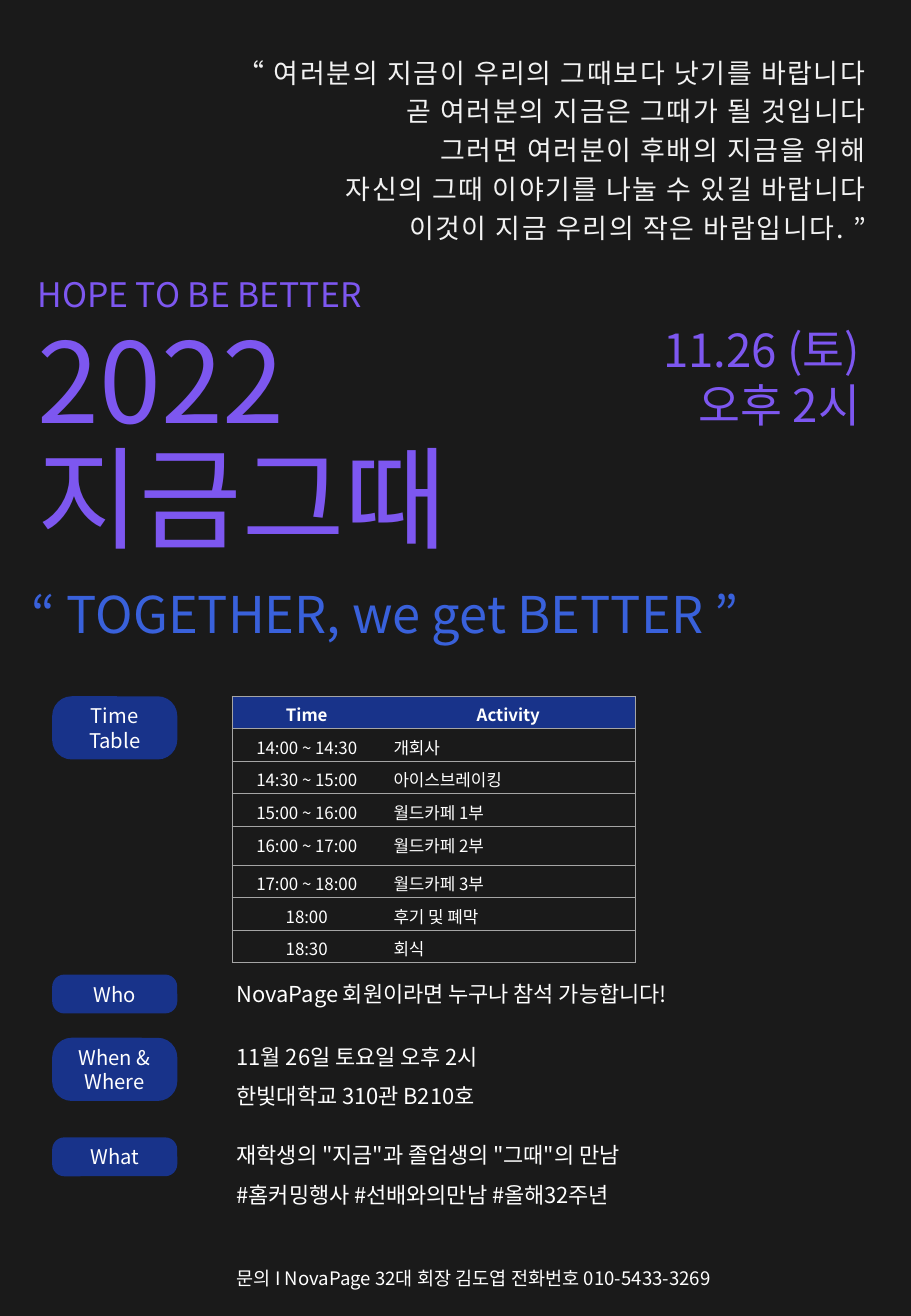
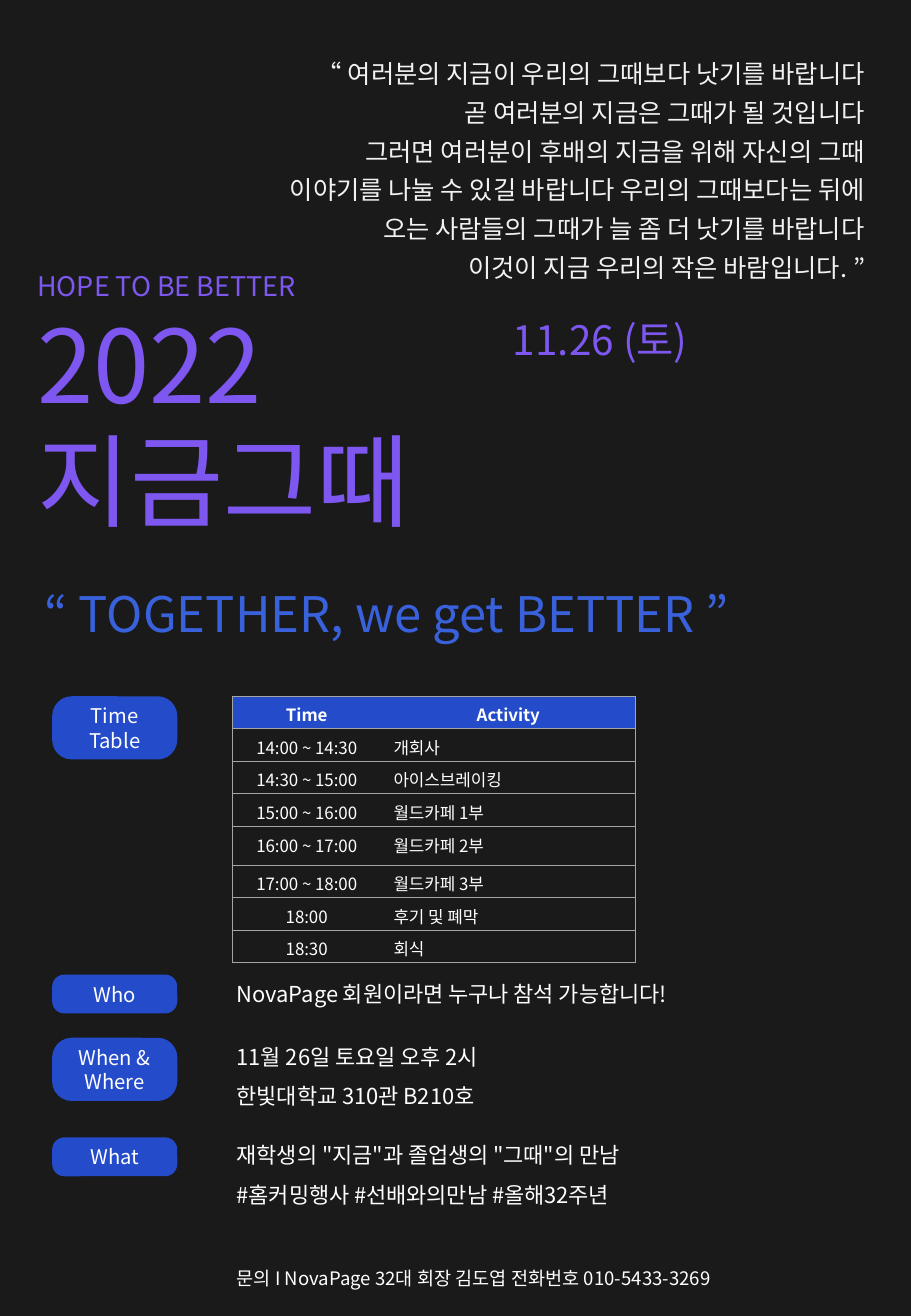
"""Builds two variants of a homecoming event poster."""
from pptx import Presentation
from pptx.dml.color import RGBColor
from pptx.enum.shapes import MSO_SHAPE
from pptx.enum.text import MSO_ANCHOR, MSO_AUTO_SIZE, PP_ALIGN
from pptx.oxml import parse_xml
from pptx.oxml.ns import nsdecls
from pptx.util import Emu, Pt

PX = 9144
FONT = "Noto Sans CJK KR"
COLORS = {
    "night": "1A1A1A", "white": "FFFFFF", "mist": "F2F2F2", "rule": "A5A5A5",
    "navy": "18338A", "royal": "244CCA",
}
GRADIENTS = {
    "title": (90, ((0, "3D61DC"), (45, "7D57F0"), (100, "9540F7"))),
    "slogan": (0, ((0, "3961DB"), (100, "953FF7"))),
}

SLOGAN = "“ TOGETHER, we get BETTER ”"
QUOTE_START = ["“ 여러분의 지금이 우리의 그때보다 낫기를 바랍니다", "곧 여러분의 지금은 그때가 될 것입니다"]
QUOTE_END = ["이것이 지금 우리의 작은 바람입니다. ”"]

POSTERS = [
    {
        "accent": "navy",
        "headings": [
            (["2022"], (21, 252, 291, 121), 66, {}),
            (["지금그때"], (21, 348, 390, 121), 66, {}),
            (["11.26 (토)", "오후 2시"], (491, 260, 227, 104), 27, {"align": PP_ALIGN.RIGHT}),
            (["HOPE TO BE BETTER"], (21, 220, 291, 44), 20, {"wrap": True}),
            ([SLOGAN], (16, 475, 719, 61), 30, {"color": "slogan"}),
        ],
        "quote": (
            QUOTE_START
            + ["그러면 여러분이 후배의 지금을 위해", "자신의 그때 이야기를 나눌 수 있길 바랍니다"]
            + QUOTE_END,
            (146, 36, 577, 169), 16, {"tracking": 100},
        ),
    },
    {
        "accent": "royal",
        "headings": [
            (["2022"], (21, 244, 266, 111), 60, {}),
            (["지금그때"], (21, 339, 357, 111), 60, {}),
            (["11.26 (토)"], (378, 254, 198, 50), 24, {"align": PP_ALIGN.RIGHT}),
            (["HOPE TO BE BETTER"], (21, 217, 235, 37), 16, {"wrap": True}),
            ([SLOGAN], (27, 475, 696, 59), 29, {"color": "slogan"}),
        ],
        "quote": (
            QUOTE_START
            + ["그러면 여러분이 후배의 지금을 위해 자신의 그때 이야기를 나눌 수 있길 바랍니다 "
               "우리의 그때보다는 뒤에 오는 사람들의 그때가 늘 좀 더 낫기를 바랍니다"]
            + QUOTE_END,
            (219, 36, 503, 168), 15, {},
        ),
    },
]

LABELS = [(["Time", "Table"], 573), (["Who"], 802), (["When &", "Where"], 854), (["What"], 936)]
DETAILS = [
    (["NovaPage 회원이라면 누구나 참석 가능합니다!"], (185, 802, 408, 32), 13, {}),
    (["11월 26일 토요일 오후 2시", "한빛대학교 310관 B210호"], (185, 843, 472, 73), 13, {"spacing": 1.5}),
    (['재학생의 "지금"과 졸업생의 "그때"의 만남', "#홈커밍행사 #선배와의만남 #올해32주년"],
     (185, 924, 451, 73), 13, {"spacing": 1.5}),
    (["문의 I NovaPage 32대 회장 김도엽 전화번호 010-5433-3269"], (185, 1038, 451, 29), 11, {}),
]
SCHEDULE = [
    ("Time", "Activity"),
    ("14:00 ~ 14:30", "개회사"),
    ("14:30 ~ 15:00", "아이스브레이킹"),
    ("15:00 ~ 16:00", "월드카페 1부"),
    ("16:00 ~ 17:00", "월드카페 2부"),
    ("17:00 ~ 18:00", "월드카페 3부"),
    ("18:00", "후기 및 폐막"),
    ("18:30", "회식"),
]
SCHEDULE_BOX = (191, 573, 332, 218)
SCHEDULE_COLUMNS = (123, 209)
SCHEDULE_ROWS = (26, 26, 26, 26, 32, 26, 26, 26)


def emu(lengths):
    return [Emu(length * PX) for length in lengths]


def rgb(name):
    return RGBColor.from_string(COLORS[name])


def paint_gradient(run, name):
    angle, stops = GRADIENTS[name]
    stop_xml = "".join(
        f'<a:gs pos="{at * 1000}"><a:srgbClr val="{value}"/></a:gs>' for at, value in stops)
    run.font._element.insert(0, parse_xml(
        f'<a:gradFill {nsdecls("a")}><a:gsLst>{stop_xml}</a:gsLst>'
        f'<a:lin ang="{angle * 60000}" scaled="0"/></a:gradFill>'))


def write(frame, lines, size, color="white", align=PP_ALIGN.LEFT, spacing=None, tracking=0, bold=False):
    frame.text = "\n".join(lines)
    for paragraph in frame.paragraphs:
        paragraph.alignment = align
        if spacing:
            paragraph.line_spacing = spacing
        for run in paragraph.runs:
            run.font.size, run.font.bold, run.font.name = Pt(size), bold, FONT
            properties = run.font._element
            properties.append(parse_xml(f'<a:ea {nsdecls("a")} typeface="{FONT}"/>'))
            if tracking:
                properties.set("spc", str(tracking))
            if color in GRADIENTS:
                paint_gradient(run, color)
            else:
                run.font.color.rgb = rgb(color)


def add_text(slide, lines, box, size, wrap=True, **style):
    frame = slide.shapes.add_textbox(*emu(box)).text_frame
    frame.word_wrap = wrap
    frame.auto_size = MSO_AUTO_SIZE.SHAPE_TO_FIT_TEXT
    write(frame, lines, size, **style)


def add_label(slide, lines, top, accent):
    label = slide.shapes.add_shape(
        MSO_SHAPE.ROUNDED_RECTANGLE, *emu((43, top, 103, 12 + 20 * len(lines))))
    label.adjustments[0] = 0.31
    label.shadow.inherit = False
    label.fill.solid()
    label.fill.fore_color.rgb = rgb(accent)
    label.line.fill.background()
    label.text_frame.vertical_anchor = MSO_ANCHOR.MIDDLE
    write(label.text_frame, lines, 12, align=PP_ALIGN.CENTER)


def rule_cell(cell, ruled_sides):
    for position, side in enumerate("LRTB"):
        stroke = (f'<a:solidFill><a:srgbClr val="{COLORS["rule"]}"/></a:solidFill>'
                  if side in ruled_sides else "<a:noFill/>")
        cell._tc.get_or_add_tcPr().insert(position, parse_xml(
            f'<a:ln{side} {nsdecls("a")} w="6350">{stroke}</a:ln{side}>'))


def add_schedule(slide, accent):
    holder = slide.shapes.add_table(len(SCHEDULE), len(SCHEDULE_COLUMNS), *emu(SCHEDULE_BOX))
    schedule = holder.table
    schedule.first_row = schedule.horz_banding = False
    for column, width in zip(schedule.columns, emu(SCHEDULE_COLUMNS)):
        column.width = width
    for row, height in zip(schedule.rows, emu(SCHEDULE_ROWS)):
        row.height = height
    holder.height = Emu(SCHEDULE_BOX[3] * PX)
    for r, entries in enumerate(SCHEDULE):
        for c, entry in enumerate(entries):
            cell = schedule.cell(r, c)
            cell.vertical_anchor = MSO_ANCHOR.MIDDLE
            if r == 0:
                cell.fill.solid()
                cell.fill.fore_color.rgb = rgb(accent)
            else:
                cell.fill.background()
            centred = r == 0 or c == 0
            write(cell.text_frame, [entry], 10, bold=r == 0,
                  align=PP_ALIGN.CENTER if centred else PP_ALIGN.LEFT)
            rule_cell(cell, "TB" + "LR"[c])


def build_poster(slide, poster):
    slide.background.fill.solid()
    slide.background.fill.fore_color.rgb = rgb("night")
    for lines, box, size, style in poster["headings"]:
        add_text(slide, lines, box, size, **{"color": "title", "wrap": False, **style})
    for lines, top in LABELS:
        add_label(slide, lines, top, poster["accent"])
    for lines, box, size, style in DETAILS:
        add_text(slide, lines, box, size, **style)
    add_schedule(slide, poster["accent"])
    lines, box, size, style = poster["quote"]
    add_text(slide, lines, box, size, color="mist", align=PP_ALIGN.RIGHT, spacing=Pt(23), **style)


def main():
    deck = Presentation()
    deck.slide_width, deck.slide_height = emu((750, 1083))
    for poster in POSTERS:
        build_poster(deck.slides.add_slide(deck.slide_layouts[6]), poster)
    deck.save("out.pptx")


if __name__ == "__main__":
    main()
